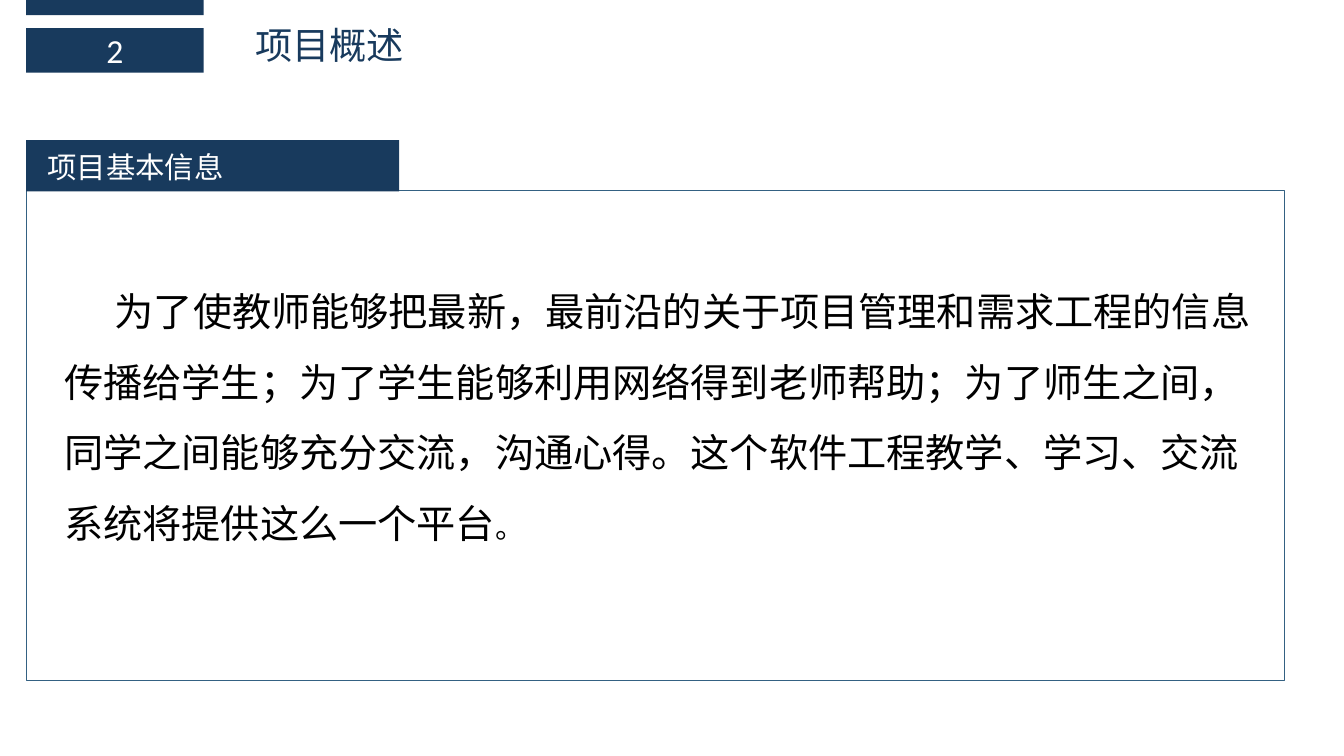
import pptx
import pptx.util
import pptx.dml.color
import pptx.enum.shapes
import pptx.enum.text
import pptx.oxml.ns
import lxml.etree

Inches, Pt = pptx.util.Inches, pptx.util.Pt
RGBColor = pptx.dml.color.RGBColor
NAVY = RGBColor(0x18, 0x3A, 0x5D)
FRAME = RGBColor(0x34, 0x61, 0x82)
WHITE = RGBColor(0xFF, 0xFF, 0xFF)
BLACK = RGBColor(0, 0, 0)
LATIN = "Calibri"
CJK = "Noto Sans CJK SC"
LEFT = 0.26


class Deck:
    def __init__(self):
        self.prs = pptx.Presentation()
        self.prs.slide_width = Inches(13.33)
        self.prs.slide_height = Inches(7.5)
        self.s = self.prs.slides.add_slide(self.prs.slide_layouts[5])

    def style(self, r, size, color, font=CJK):
        r.font.size = Pt(size)
        r.font.color.rgb = color
        r.font.name = font
        ea = lxml.etree.Element(pptx.oxml.ns.qn("a:ea"), typeface=CJK)
        r.font._element.find(pptx.oxml.ns.qn("a:latin")).addnext(ea)

    def fill_text(self, sp, text, size, color, font=CJK,
                  anchor=pptx.enum.text.MSO_ANCHOR.TOP,
                  align=pptx.enum.text.PP_ALIGN.LEFT):
        tf = sp.text_frame
        tf.word_wrap = True
        tf.vertical_anchor = anchor
        p = tf.paragraphs[0]
        p.text = text
        p.alignment = align
        self.style(p.runs[0], size, color, font)
        return p

    def title(self, text, x, y, w, h):
        sp = self.s.shapes.title
        sp.left, sp.top, sp.width, sp.height = map(Inches, (x, y, w, h))
        self.fill_text(sp, text, 26.6, NAVY)
        sp.text_frame.auto_size = pptx.enum.text.MSO_AUTO_SIZE.NONE

    def rect(self, x, y, w, h, fill=None, line=None):
        sp = self.s.shapes.add_shape(pptx.enum.shapes.MSO_SHAPE.RECTANGLE,
                                     *map(Inches, (x, y, w, h)))
        sp.shadow.inherit = False
        if fill is None:
            sp.fill.background()
        else:
            sp.fill.solid()
            sp.fill.fore_color.rgb = fill
        if line is None:
            sp.line.fill.background()
        else:
            sp.line.color.rgb = line
            sp.line.width = Pt(1)
        return sp

    def text(self, text, x, y, w, h, size, color, font=CJK):
        sp = self.s.shapes.add_textbox(*map(Inches, (x, y, w, h)))
        return self.fill_text(sp, text, size, color, font)


def main():
    d = Deck()
    d.rect(LEFT, 0, 1.76, 0.15, NAVY)
    number = d.rect(LEFT, 0.28, 1.76, 0.44, NAVY)
    d.fill_text(number, "2", 24, WHITE, LATIN,
                pptx.enum.text.MSO_ANCHOR.MIDDLE,
                pptx.enum.text.PP_ALIGN.CENTER)
    d.title("项目概述", 2.43, 0.17, 6.62, 0.55)

    p = d.text("为了使教师能够把最新，最前沿的关于项目管理和需求工程的信息"
               "传播给学生；为了学生能够利用网络得到老师帮助；为了师生之间，"
               "同学之间能够充分交流，沟通心得。这个软件工程教学、学习、交流"
               "系统将提供这么一个平台", 0.54, 2.57, 12.13, 2.82, 28, BLACK)
    p.line_spacing = 1.5
    p._p.get_or_add_pPr().set("indent", str(Inches(0.5)))
    r = p.add_run()
    r.text = "。"
    d.style(r, 21, BLACK)

    d.rect(LEFT, 1.89, 12.48, 4.86, line=FRAME)
    d.rect(LEFT, 1.39, 3.7, 0.51, NAVY)
    d.text("项目基本信息", 0.37, 1.43, 2.28, 0.45, 21, WHITE, LATIN)
    d.prs.save("out.pptx")


if __name__ == "__main__":
    main()
